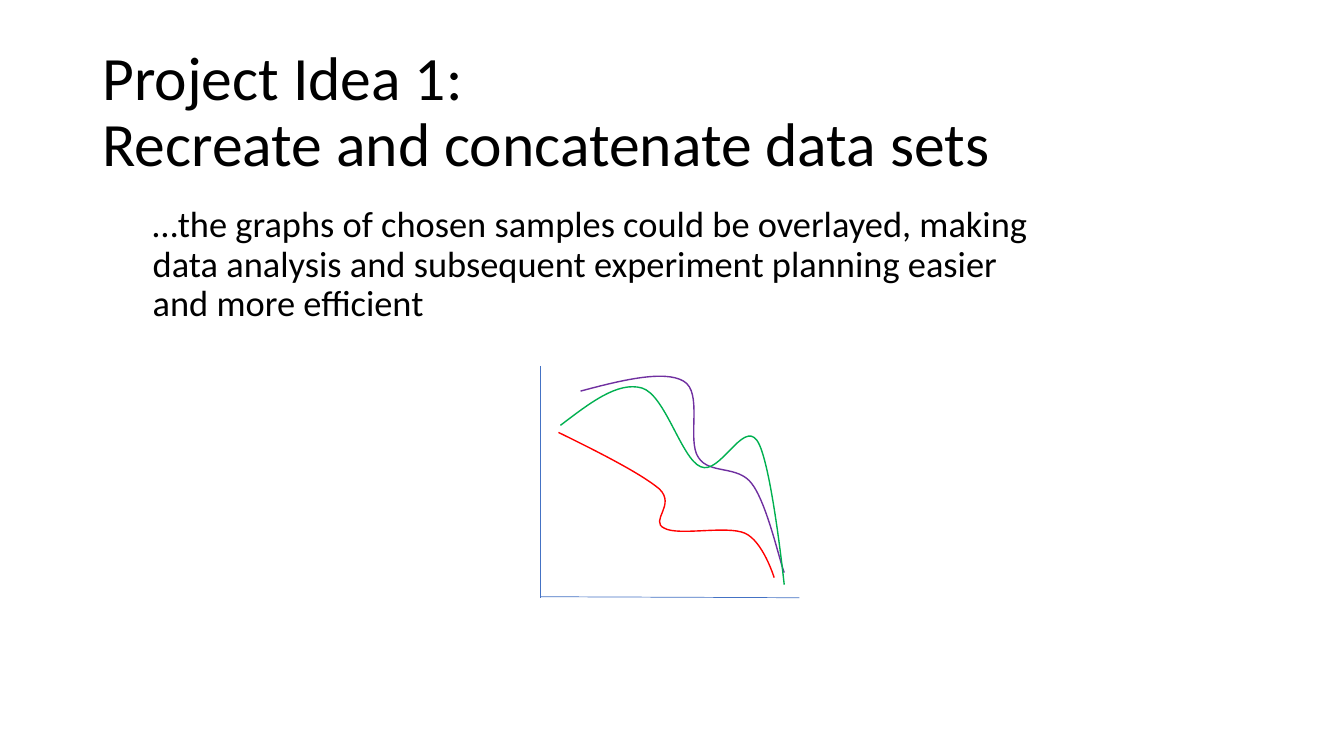
from pptx import Presentation
from pptx.dml.color import RGBColor
from pptx.enum.shapes import MSO_CONNECTOR
from pptx.enum.text import MSO_ANCHOR, MSO_AUTO_SIZE, PP_ALIGN
from pptx.oxml.ns import qn
from pptx.util import Inches, Pt
from lxml import etree

COLORS = {"text": "000000", "axis": "4472C4", "purple": "7030A0",
          "green": "00B050", "red": "FF0000"}
FONT = "Calibri"

deck = Presentation()
deck.slide_width, deck.slide_height = Inches(40 / 3), Inches(7.5)
page = deck.slides.add_slide(deck.slide_layouts[5])
column = deck.slide_width // 160
margin = 11 * column


def write(box, text, size, anchor):
    frame = box.text_frame
    frame.word_wrap = True
    frame.auto_size = MSO_AUTO_SIZE.NONE
    frame.vertical_anchor = anchor
    frame.text = text
    para = frame.paragraphs[0]
    para.alignment = PP_ALIGN.LEFT
    para.line_spacing = 0.9
    for span in para.runs:
        span.font.name, span.font.size = FONT, Pt(size)
        span.font.color.rgb = RGBColor.from_string(COLORS["text"])
    return para


def style_line(shape, color, width):
    shape.line.color.rgb = RGBColor.from_string(COLORS[color])
    shape.line.width = Pt(width)


# Title
title = page.shapes.title
title.left, title.top = margin, Inches(0.4)
title.width, title.height = deck.slide_width - 2 * margin, Inches(1.45)
write(title, "Project Idea 1: \vRecreate and concatenate data sets ", 44,
      MSO_ANCHOR.MIDDLE)

# Statement, indented half an inch from the title
statement = page.shapes.add_textbox(margin, Inches(2),
                                    Inches(9.62), Inches(1.49))
para = write(statement, "…the graphs of chosen samples could be overlayed, "
             "making data analysis and subsequent experiment planning easier "
             "and more efficient", 26, MSO_ANCHOR.TOP)
para.level = 1
para.space_before = Pt(5)
para_format = para._p.get_or_add_pPr()
para_format.set("marL", str(Inches(0.5)))
para_format.set("indent", "0")

# Graph axes
origin_x = 5.36
for start_x, start_y, end_x, end_y in [(origin_x, 3.63, origin_x, 5.93),
                                       (7.93, 5.93, origin_x, 5.92)]:
    axis = page.shapes.add_connector(
        MSO_CONNECTOR.STRAIGHT, Inches(start_x), Inches(start_y),
        Inches(end_x), Inches(end_y))
    style_line(axis, "axis", 0.5)
    etree.SubElement(axis._element.spPr, qn("a:effectLst"))

# Sample curves: frame, then a start point and two handles and an end per span
curves = {
    "purple": ((5.76, 3.73, 2.02, 1.95),
               [(5.76, 3.88), (6.17, 3.77), (6.59, 3.67), (6.78, 3.78),
                (6.98, 3.89), (6.81, 4.37), (6.93, 4.54),
                (7.04, 4.71), (7.32, 4.61), (7.46, 4.8),
                (7.61, 5), (7.73, 5.55), (7.78, 5.68)]),
    "green": ((5.56, 3.84, 2.22, 1.96),
              [(5.56, 4.22), (5.85, 4), (6.13, 3.78), (6.37, 3.85),
               (6.6, 3.92), (6.76, 4.55), (6.95, 4.63),
               (7.14, 4.72), (7.37, 4.17), (7.51, 4.37),
               (7.65, 4.56), (7.78, 5.8), (7.78, 5.8)]),
    "red": ((5.54, 4.29, 2.15, 1.44),
            [(5.54, 4.29), (5.95, 4.49), (6.36, 4.7), (6.54, 4.85),
             (6.71, 5.01), (6.44, 5.17), (6.59, 5.24),
             (6.73, 5.32), (7.21, 5.21), (7.39, 5.29),
             (7.57, 5.37), (7.68, 5.73), (7.68, 5.73)]),
}
for color, (bounds, points) in curves.items():
    left, top, width, height = [Inches(length) for length in bounds]
    points = [(Inches(x), Inches(y)) for x, y in points]
    builder = page.shapes.build_freeform(*points[0])
    builder.add_line_segments(points[3::3], close=False)
    curve = builder.convert_to_shape()
    curve.left, curve.top = left, top
    curve.width, curve.height = width, height

    # Turn the straight segments into Bezier spans
    outline = next(curve._element.iter(qn("a:path")))
    outline.set("w", str(width))
    outline.set("h", str(height))
    for segment in list(outline):
        outline.remove(segment)
    for first in range(0, len(points), 3):
        tag = "a:cubicBezTo" if first else "a:moveTo"
        segment = etree.SubElement(outline, qn(tag))
        for x, y in points[max(first - 2, 0):first + 1]:
            etree.SubElement(segment, qn("a:pt"),
                             x=str(x - left), y=str(y - top))

    curve.fill.background()
    curve.shadow.inherit = False
    style_line(curve, color, 1)

deck.save("out.pptx")
